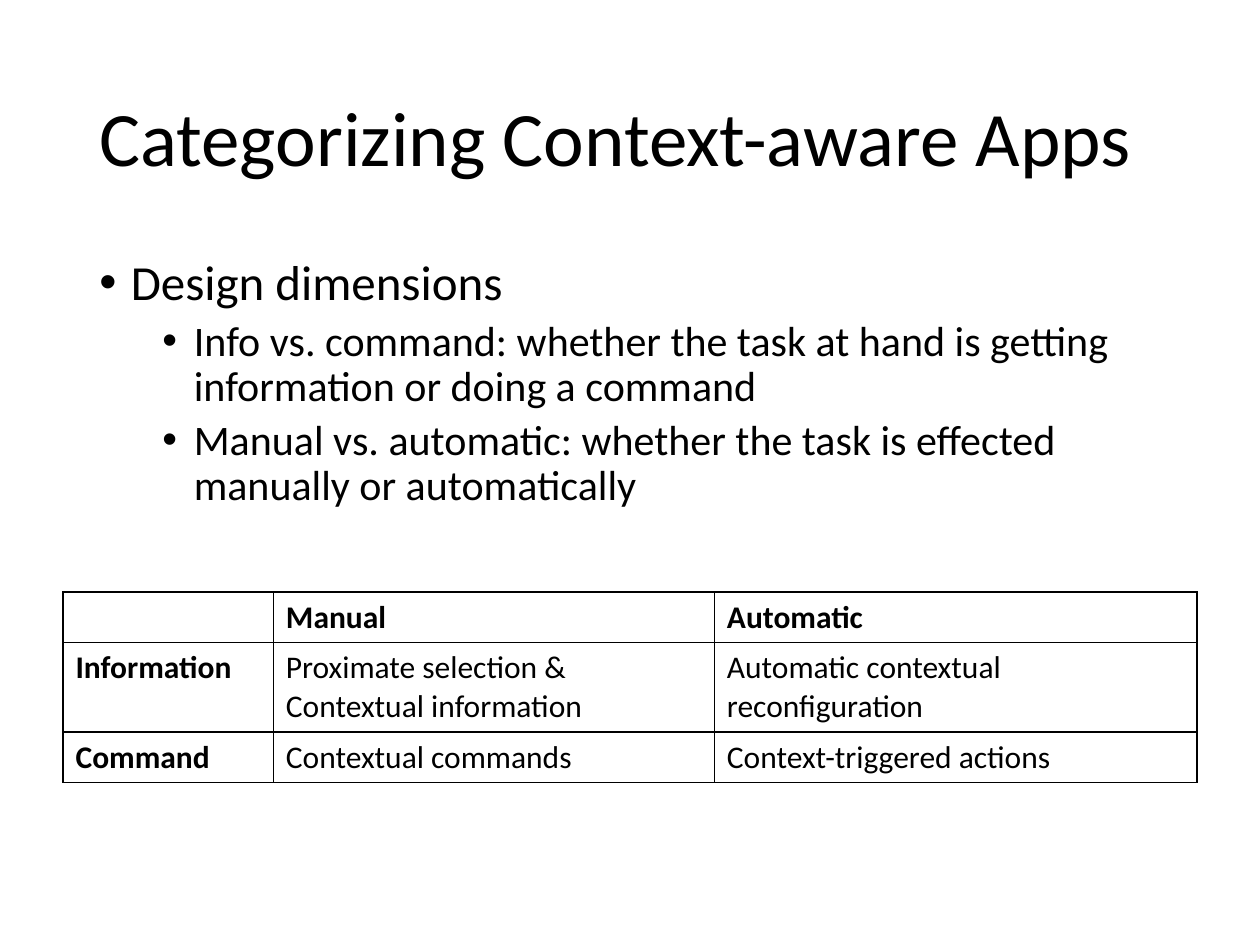
from typing import NamedTuple

from lxml.etree import SubElement
from pptx import Presentation
from pptx.dml.color import RGBColor
from pptx.enum.text import MSO_ANCHOR, MSO_AUTO_SIZE, PP_ALIGN
from pptx.oxml import parse_xml
from pptx.oxml.ns import nsdecls, qn
from pptx.util import Inches, Pt

BLACK = RGBColor(0, 0, 0)
FONT = "Calibri"
WIDE, HIGH = 10, 7.5
LEFT, SPAN = 0.69, 8.62


class Point(NamedTuple):
    text: str
    size: int
    indent: float
    before: int


POINTS = [
    Point("Design dimensions", 28, 0.25, 0),
    Point("Info vs. command: whether the task at hand is getting "
          "information or doing a command", 24, 0.75, 5),
    Point("Manual vs. automatic: whether the task is effected "
          "manually or automatically", 24, 0.75, 5),
]
GRID = [
    ["", "Manual", "Automatic"],
    ["Information", "Proximate selection &\nContextual information",
     "Automatic contextual reconfiguration"],
    ["Command", "Contextual commands", "Context-triggered actions"],
]
COLS = [1.67, 3.5, 3.83]
ROWS = [0.4, 0.71, 0.4]


def write(para, text: str, *, size: int, bold: bool = False,
          line: float = 1.0, before: int = 0) -> None:
    para.text = text
    para.alignment = PP_ALIGN.LEFT
    para.line_spacing = line
    para.space_before = Pt(before)
    for run in para.runs:
        font = run.font
        font.name, font.size, font.bold = FONT, Pt(size), bold
        font.color.rgb = BLACK


def place(shape, left: float, top: float, width: float, height: float) -> None:
    shape.left, shape.top = Inches(left), Inches(top)
    shape.width, shape.height = Inches(width), Inches(height)


def bullet(para, indent: float) -> None:
    props = para._p.get_or_add_pPr()
    props.set("marL", str(Inches(indent)))
    props.set("indent", str(Inches(-0.25)))
    SubElement(props, qn("a:buFont")).set("typeface", "Arial")
    SubElement(props, qn("a:buChar")).set("char", "•")


def border(cell) -> None:
    props = cell._tc.get_or_add_tcPr()
    for i, side in enumerate(("lnL", "lnR", "lnT", "lnB")):
        props.insert(i, parse_xml(
            f'<a:{side} {nsdecls("a")} w="{Pt(1)}"><a:solidFill>'
            f'<a:srgbClr val="{BLACK}"/></a:solidFill></a:{side}>'))


def head(slide) -> None:
    title = slide.shapes.title
    place(title, LEFT, 0.4, SPAN, 1.45)
    frame = title.text_frame
    frame.auto_size = MSO_AUTO_SIZE.NONE
    frame.vertical_anchor = MSO_ANCHOR.MIDDLE
    write(frame.paragraphs[0], "Categorizing Context-aware Apps",
          size=44, line=0.9)


def body(slide, points: list[Point]) -> None:
    box = slide.shapes.add_textbox(0, 0, 0, 0)
    place(box, LEFT, 2, SPAN, 2.35)
    frame = box.text_frame
    frame.word_wrap = True
    for i, point in enumerate(points):
        para = frame.add_paragraph() if i else frame.paragraphs[0]
        bullet(para, point.indent)
        write(para, point.text, size=point.size, line=0.9,
              before=point.before)


def matrix(slide, grid: list[list[str]]) -> None:
    table = slide.shapes.add_table(
        len(ROWS), len(COLS), Inches(0.5), Inches(4.7),
        Inches(sum(COLS)), Inches(sum(ROWS))).table
    table.first_row = table.horz_banding = False
    for col, width in zip(table.columns, COLS):
        col.width = Inches(width)
    for r, (row, height) in enumerate(zip(table.rows, ROWS)):
        row.height = Inches(height)
        for c, cell in enumerate(row.cells):
            cell.fill.background()
            border(cell)
            cell.vertical_anchor = MSO_ANCHOR.TOP if r else MSO_ANCHOR.MIDDLE
            write(cell.text_frame.paragraphs[0], grid[r][c],
                  size=18, bold=r == 0 or c == 0)


def main() -> None:
    deck = Presentation()
    deck.slide_width, deck.slide_height = Inches(WIDE), Inches(HIGH)
    slide = deck.slides.add_slide(deck.slide_layouts[5])
    head(slide)
    body(slide, POINTS)
    matrix(slide, GRID)
    deck.save("out.pptx")


if __name__ == "__main__":
    main()
